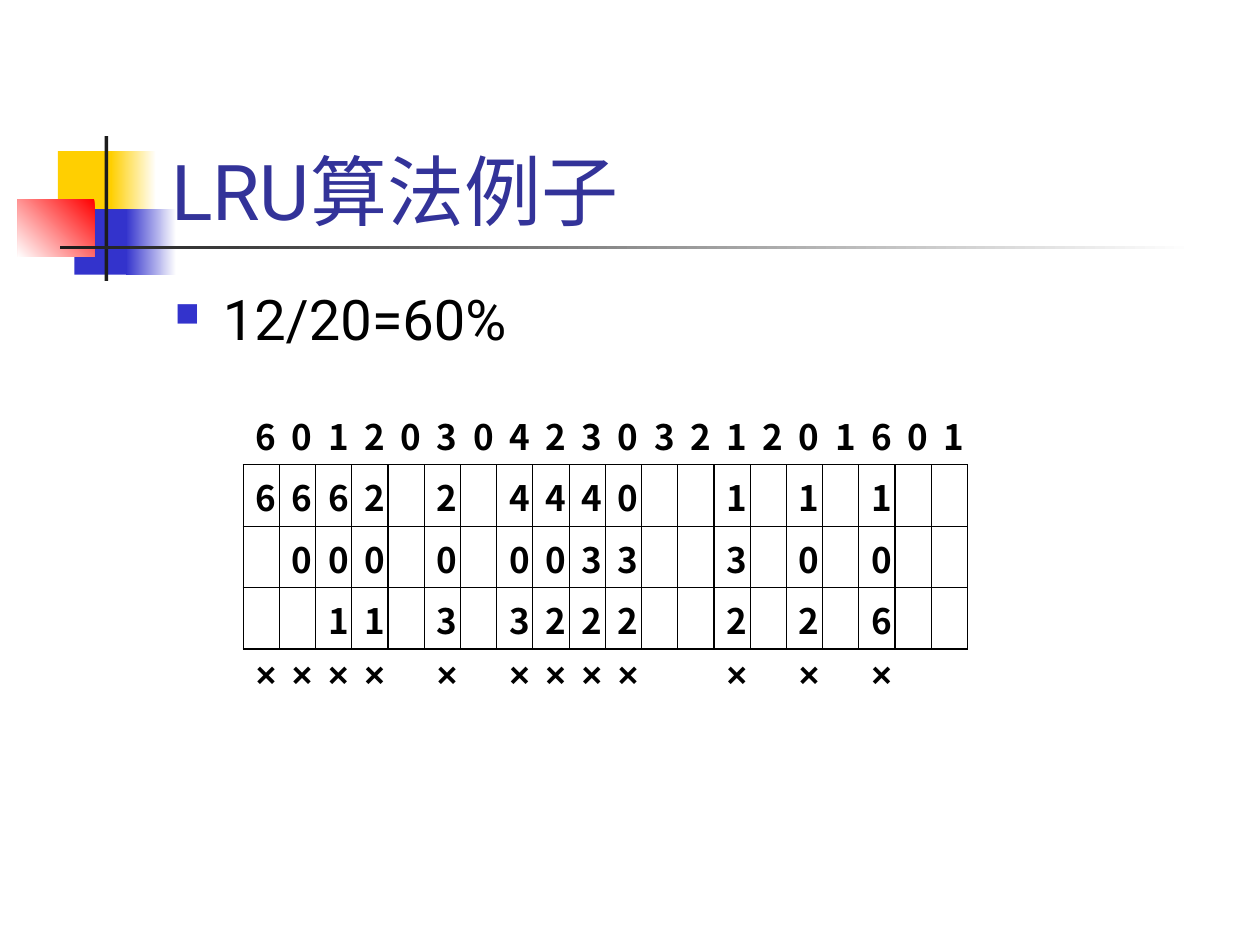
from dataclasses import dataclass
from typing import Optional

from lxml.etree import SubElement
from pptx import Presentation
from pptx.dml.color import RGBColor
from pptx.enum.shapes import MSO_SHAPE as Preset
from pptx.enum.text import MSO_ANCHOR as Anchor
from pptx.oxml.ns import qn
from pptx.util import Inches, Pt

# The slide is a grid of 100 columns by 75 rows
COLUMNS, ROWS = 100, 75
UNIT = Inches(0.1)
WHITE, BLACK, INK = "FFFFFF", "000000", "1C1C1C"
YELLOW, BLUE, RED, NAVY = "FFCF01", "3333CC", "FF0000", "333399"
TITLE_FONT, TABLE_FONT, MARK_FONT = "Roboto", "Noto Sans CJK SC", "Arial"

REFERENCES = "60120304230321201601"
FRAMES = (
    "6662 2 4440  1 1 1  ",
    " 000 0 0033  3 0 0  ",
    "  11 3 3222  2 2 6  ",
)
FAULTS = "×××× × ××××  × × ×  "


@dataclass(frozen=True)
class Area:
    left: float
    top: float
    width: float
    height: float

    def lengths(self) -> tuple:
        return tuple(round(n * UNIT) for n in (self.left, self.top, self.width, self.height))


@dataclass(frozen=True)
class Block:
    area: Area
    start: str
    end: Optional[str] = None
    angle: int = 180  # counter-clockwise direction of the fade


DECORATION = (
    Block(Area(4.6, 12, 4.8, 5.2), YELLOW),
    Block(Area(8.8, 12, 3.6, 5.2), WHITE, YELLOW),
    Block(Area(5.9, 16.6, 4.6, 5.2), BLUE),
    Block(Area(10, 16.6, 4, 5.2), WHITE, BLUE),
    Block(Area(1.4, 15.8, 6.1, 4.6), RED, WHITE, 225),
    Block(Area(8.3, 10.8, 0.3, 11.5), INK),
    Block(Area(4.8, 19.5, 90, 0.3), WHITE, INK),
)


def color(value: str) -> RGBColor:
    return RGBColor.from_string(value)


def draw_block(page, block: Block) -> None:
    shape = page.shapes.add_shape(Preset.RECTANGLE, *block.area.lengths())
    shape.shadow.inherit = False
    shape.line.fill.background()
    if block.end is None:
        shape.fill.solid()
        shape.fill.fore_color.rgb = color(block.start)
        return
    shape.fill.gradient()
    shape.fill.gradient_angle = block.angle
    for stop, value in zip(shape.fill.gradient_stops, (block.start, block.end)):
        stop.color.rgb = color(value)


def write(para, text: str, font: str, size: int, ink: str, bold: bool = False) -> None:
    span = para.add_run()
    span.text = text
    for name, value in {"name": font, "size": Pt(size), "bold": bold}.items():
        setattr(span.font, name, value)
    span.font.color.rgb = color(ink)
    east_asian = TABLE_FONT if font == TITLE_FONT else font
    SubElement(span.font._element, qn("a:ea"), typeface=east_asian)


def add_text_box(page, area: Area, anchor):
    frame = page.shapes.add_textbox(*area.lengths()).text_frame
    for name, value in {"word_wrap": True, "vertical_anchor": anchor}.items():
        setattr(frame, name, value)
    return frame.paragraphs[0]


def add_bullet(para) -> None:
    props = para._p.get_or_add_pPr()
    indent = Inches(0.38)
    props.set("marL", str(indent))
    props.set("indent", str(-indent))
    SubElement(SubElement(props, qn("a:buClr")), qn("a:srgbClr"), val=BLUE)
    SubElement(props, qn("a:buSzPct"), val="60000")
    SubElement(props, qn("a:buChar"), char="■")


def set_borders(cell, visible: dict) -> None:
    props = cell._tc.get_or_add_tcPr()
    for side, shown in visible.items():
        line = SubElement(props, qn(f"a:ln{side}"), w=str(Pt(0.75)))
        if shown:
            SubElement(SubElement(line, qn("a:solidFill")), qn("a:srgbClr"), val=BLACK)
        else:
            SubElement(line, qn("a:noFill"))


def draw_table(page, area: Area) -> None:
    lines = (REFERENCES, *FRAMES, FAULTS)
    last = len(lines) - 1
    table = page.shapes.add_table(len(lines), len(REFERENCES), *area.lengths()).table
    for name in ("first_row", "horz_banding"):
        setattr(table, name, False)
    for row, line in enumerate(lines):
        framed = 0 < row < last
        borders = {"L": framed, "R": framed, "T": row > 0, "B": row < last}
        font = MARK_FONT if row == last else TABLE_FONT
        for column, symbol in enumerate(line):
            cell = table.cell(row, column)
            set_borders(cell, borders)
            cell.fill.background()
            if symbol != " ":
                write(cell.text_frame.paragraphs[0], symbol, font, 20, BLACK, bold=True)


def main() -> None:
    deck = Presentation()
    deck.slide_width, deck.slide_height = COLUMNS * UNIT, ROWS * UNIT
    page = deck.slides.add_slide(deck.slide_layouts[6])

    # Coloured squares and rules
    for block in DECORATION:
        draw_block(page, block)

    # Title and fault rate
    title = add_text_box(page, Area(12.6, 6.7, 85.2, 12.5), Anchor.BOTTOM)
    write(title, "LRU算法例子", TITLE_FONT, 44, NAVY)
    rate = add_text_box(page, Area(12.9, 22.1, 85, 45), Anchor.TOP)
    add_bullet(rate)
    write(rate, "12/20=60%", TITLE_FONT, 32, BLACK)

    # Page references, frames and faults
    draw_table(page, Area(19.3, 32, 57.5, 24.4))
    deck.save("out.pptx")


if __name__ == "__main__":
    main()
